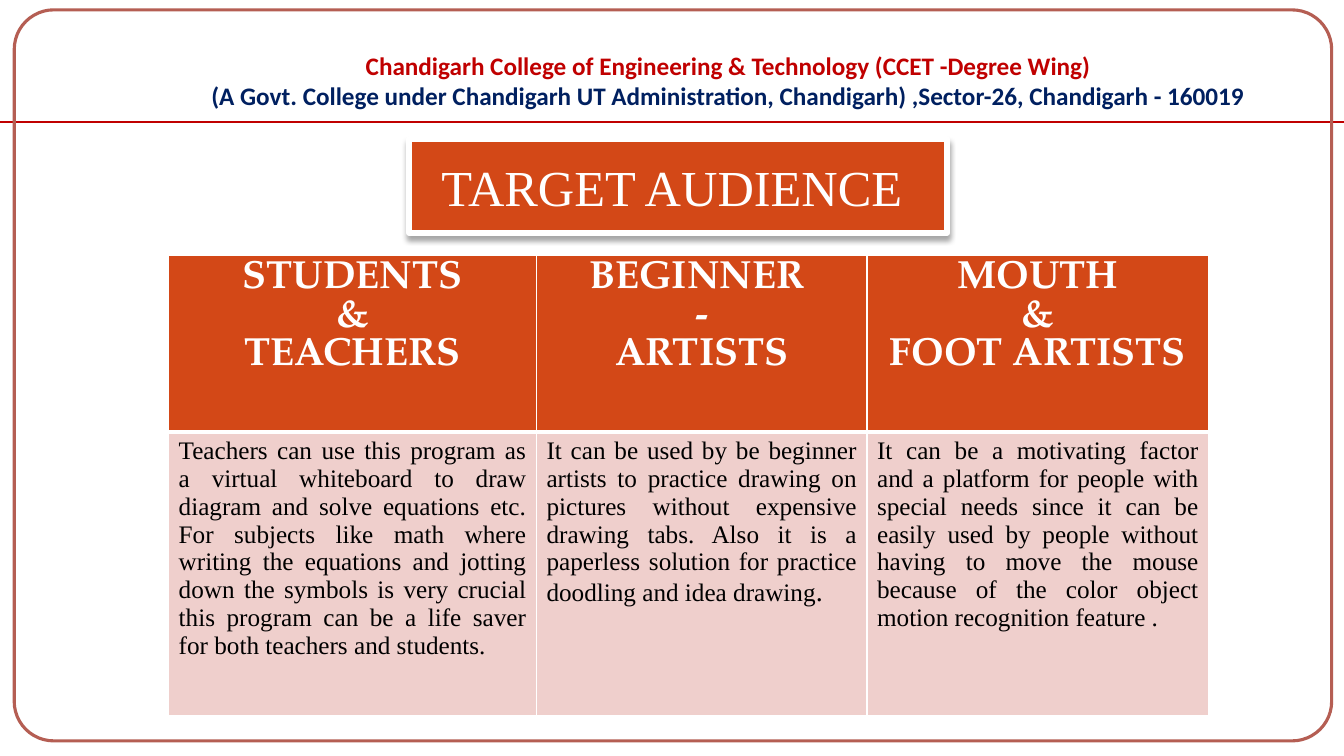
from lxml import etree
from pptx import Presentation
from pptx.dml.color import RGBColor
from pptx.enum.shapes import MSO_CONNECTOR, MSO_SHAPE
from pptx.enum.text import MSO_ANCHOR, MSO_AUTO_SIZE, PP_ALIGN
from pptx.oxml import parse_xml
from pptx.oxml.ns import nsdecls, qn
from pptx.util import Cm, Pt

CENTER, JUSTIFY = PP_ALIGN.CENTER, PP_ALIGN.JUSTIFY
BOTTOM, MIDDLE = MSO_ANCHOR.BOTTOM, MSO_ANCHOR.MIDDLE
ROUNDED, STRAIGHT = MSO_SHAPE.ROUNDED_RECTANGLE, MSO_CONNECTOR.STRAIGHT
NO_AUTOFIT = MSO_AUTO_SIZE.NONE
TITLE_ONLY = 5

WHITE, BLACK, RED, NAVY = "FFFFFF", "000000", "C00000", "002060"
ORANGE, PINK, FRAME = "D34817", "EFCFCC", "B55E53"
SERIF = "Times New Roman"

BANNER = {"name": "Calibri", "size": Pt(18), "bold": True}
TITLE = {"name": SERIF, "size": Pt(36), "bold": False}
HEADING = {"name": "TeX Gyre Pagella", "size": Pt(28), "bold": True}
BODY = {"name": SERIF, "size": Pt(18), "bold": False}
LARGE_STOP = {**BODY, "size": Pt(20)}


def rgb(value):
    """Turn a hex string into a colour."""
    return RGBColor.from_string(value)


def set_line(line, color, width):
    """Colour a line and set its width in points."""
    line.color.rgb = rgb(color)
    line.width = Pt(width)


def add_effects(shape, xml=""):
    """Give a shape an effect list, empty unless xml is passed."""
    shape._element.spPr.append(
        parse_xml(f"<a:effectLst {nsdecls('a')}>{xml}</a:effectLst>"))


def set_borders(cell, widths):
    """Draw white cell borders; widths maps sides to points."""
    tc_pr = cell._tc.get_or_add_tcPr()
    for side, width in widths.items():
        ln = etree.SubElement(tc_pr, qn(f"a:ln{side}"), w=str(Pt(width)))
        fill = etree.SubElement(ln, qn("a:solidFill"))
        etree.SubElement(fill, qn("a:srgbClr"), val=WHITE)


def write(p, text, style, color, align=CENTER):
    """Add a formatted run to a paragraph."""
    p.alignment = align
    r = p.add_run()
    r.text = text
    for key, value in style.items():
        setattr(r.font, key, value)
    r.font.color.rgb = rgb(color)


class SlideBuilder:
    """Holds the current slide and adds its elements."""

    def __init__(self, prs):
        """Add a slide that has only a title placeholder."""
        self.s = prs.slides.add_slide(prs.slide_layouts[TITLE_ONLY])

    def rule(self, y, width):
        """Add the horizontal header line."""
        line = self.s.shapes.add_connector(STRAIGHT, 0, y, width, y)
        set_line(line.line, RED, 1.5)
        add_effects(line)

    def frame(self, *box):
        """Add the rounded outline around the slide."""
        sp = self.s.shapes.add_shape(ROUNDED, *box)
        sp.adjustments[0] = 0.054
        sp.shadow.inherit = False
        sp.fill.background()
        set_line(sp.line, FRAME, 2.25)

    def banner(self, lines, *box):
        """Add the header text from (text, colour) pairs."""
        tf = self.s.shapes.add_textbox(*box).text_frame
        tf.word_wrap = True
        tf.vertical_anchor = BOTTOM
        for i, (text, color) in enumerate(lines):
            p = tf.add_paragraph() if i else tf.paragraphs[0]
            write(p, text, BANNER, color)

    def title(self, text, *box):
        """Fill and place the title placeholder."""
        sp = self.s.shapes.title
        sp.left, sp.top, sp.width, sp.height = box
        sp.fill.solid()
        sp.fill.fore_color.rgb = rgb(ORANGE)
        set_line(sp.line, WHITE, 4)
        add_effects(sp, f'<a:outerShdw blurRad="{Pt(4)}" dist="{Pt(3)}" '
                        f'dir="5400000" rotWithShape="0"><a:srgbClr val="{BLACK}">'
                        '<a:alpha val="35000"/></a:srgbClr></a:outerShdw>')
        tf = sp.text_frame
        tf.auto_size = NO_AUTOFIT
        tf.word_wrap = True
        tf.vertical_anchor = MIDDLE
        write(tf.paragraphs[0], text, TITLE, WHITE)

    def table(self, audiences, left, top, widths, heights):
        """Add a table with a column for each (heading lines, body runs)."""
        table = self.s.shapes.add_table(len(heights), len(widths), left, top,
                                        sum(widths), sum(heights)).table
        table.horz_banding = False
        for row, height in zip(table.rows, heights):
            row.height = height
        for col, (lines, runs) in enumerate(audiences):
            table.columns[col].width = widths[col]
            head, body = table.cell(0, col), table.cell(1, col)
            set_borders(head, {"L": 1, "R": 1, "T": 1, "B": 3})
            set_borders(body, {"L": 1, "R": 1, "T": 3, "B": 1})
            for cell, color in ((head, ORANGE), (body, PINK)):
                cell.fill.solid()
                cell.fill.fore_color.rgb = rgb(color)
            tf = head.text_frame
            for i, line in enumerate(lines):
                p = tf.add_paragraph() if i else tf.paragraphs[0]
                p.line_spacing = Pt(27.5)
                write(p, line, HEADING, WHITE)
            for text, style in runs:
                write(body.text_frame.paragraphs[0], text, style, BLACK, JUSTIFY)


AUDIENCES = [
    (("STUDENTS", "&", "TEACHERS"),
     [("Teachers can use this program as a virtual whiteboard to draw diagram "
       "and solve equations etc. For subjects like math where writing the "
       "equations and jotting down the symbols is very crucial this program "
       "can be a life saver for both teachers and students.", BODY)]),
    (("BEGINNER ", "-", "ARTISTS"),
     [("It can be used by be beginner artists to practice drawing on pictures "
       "without expensive drawing tabs. Also it is a paperless solution for "
       "practice doodling and idea drawing", BODY), (".", LARGE_STOP)]),
    (("MOUTH", "&", "FOOT ARTISTS"),
     [("It can be a motivating factor and a platform for people with special "
       "needs since it can be easily used by people without having to move "
       "the mouse because of the color object motion recognition feature .",
       BODY)]),
]
BANNER_LINES = [
    ("Chandigarh College of Engineering & Technology (CCET -Degree Wing)", RED),
    ("(A Govt. College under Chandigarh UT Administration, Chandigarh) "
     ",Sector-26, Chandigarh - 160019", NAVY),
]

prs = Presentation()
prs.slide_width, prs.slide_height = Cm(33.87), Cm(19.05)

slide = SlideBuilder(prs)
slide.rule(Cm(3.07), prs.slide_width)
slide.frame(Cm(0.36), Cm(0.25), Cm(33.2), Cm(18.42))
slide.banner(BANNER_LINES, Cm(3.51), Cm(-0.33), Cm(29.69), Cm(3.25))
slide.title("TARGET AUDIENCE ", Cm(10.31), Cm(3.51), Cm(13.56), Cm(2.36))
slide.table(AUDIENCES, Cm(4.25), Cm(6.43),
            [Cm(9.27), Cm(8.33), Cm(8.61)], [Cm(4.45), Cm(7.16)])

prs.save("out.pptx")
